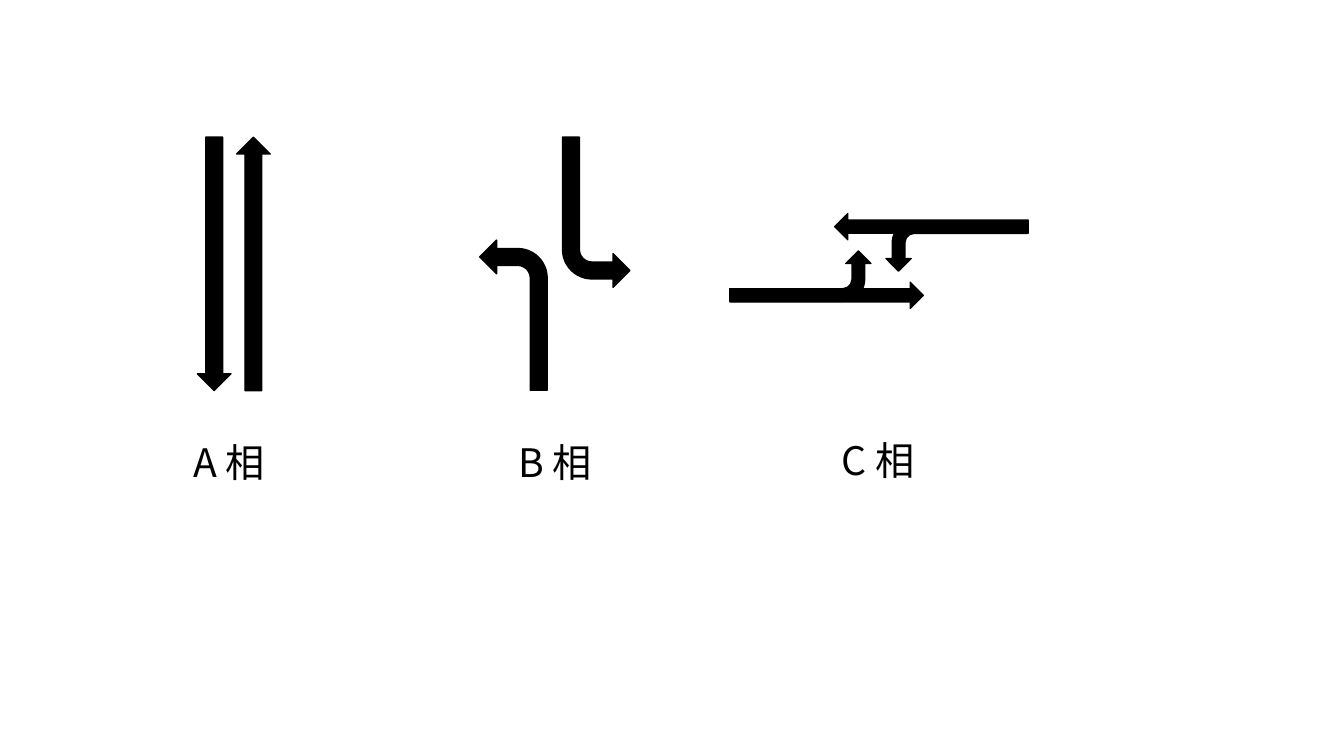
from pptx import Presentation
from pptx.dml.color import RGBColor
from pptx.enum.shapes import MSO_SHAPE
from pptx.enum.text import MSO_AUTO_SIZE
from pptx.oxml.ns import qn
from pptx.util import Pt

UP, LEFT, BENT = MSO_SHAPE.UP_ARROW, MSO_SHAPE.LEFT_ARROW, MSO_SHAPE.BENT_ARROW
FIT_TEXT = MSO_AUTO_SIZE.SHAPE_TO_FIT_TEXT
COLORS = {"ink": "000000", "background": "FFFFFF"}
FONT = "Noto Sans CJK SC"


class PhaseSlide:
    """Draw traffic phase arrows and labels in one style on a slide."""

    def __init__(self, slide):
        self.slide = slide
        self.ink = RGBColor.from_string(COLORS["ink"])
        fill = slide.background.fill
        fill.solid()
        fill.fore_color.rgb = RGBColor.from_string(COLORS["background"])

    def arrow(self, kind, left, top, width, height, rotation=0, flip=None):
        shape = self.slide.shapes.add_shape(kind, Pt(left), Pt(top), Pt(width), Pt(height))
        shape.shadow.inherit = False
        shape.fill.solid()
        shape.fill.fore_color.rgb = self.ink
        shape.line.color.rgb = self.ink
        shape.line.width = Pt(1)
        shape.rotation = rotation
        if flip:
            shape._element.spPr.find(qn("a:xfrm")).set(flip, "1")

    def label(self, text, left, top, width=78, height=41, size=28):
        box = self.slide.shapes.add_textbox(Pt(left), Pt(top), Pt(width), Pt(height))
        frame = box.text_frame
        frame.word_wrap = True
        frame.auto_size = FIT_TEXT
        run = frame.paragraphs[0].add_run()
        run.text = text
        run.font.size = Pt(size)
        run.font.name = FONT
        run.font.color.rgb = self.ink
        east_asian = run._r.get_or_add_rPr().makeelement(qn("a:ea"), {"typeface": FONT})
        run._r.rPr.find(qn("a:latin")).addnext(east_asian)


presentation = Presentation()
presentation.slide_width, presentation.slide_height = Pt(960), Pt(540)
phases = PhaseSlide(presentation.slides.add_slide(presentation.slide_layouts[6]))

for left, flip in ((169, None), (141, "flipV")):
    phases.arrow(UP, left, 98, 24, 181, flip=flip)

for left, top, flip in ((342.7, 171.5, "flipH"), (401.8, 98, "flipV")):
    phases.arrow(BENT, left, top, 48.2, 107.3, flip=flip)

for left, top, turn, bent_left, bent_top in (
    (596.2, 152.6, 0, 665.3, 125.3),
    (521.3, 201.6, 180, 553.7, 146.9),
):
    phases.arrow(LEFT, left, top, 138.2, 18.7, rotation=turn, flip="flipV")
    phases.arrow(BENT, bent_left, bent_top, 36, 100.8, rotation=90 + turn, flip="flipV")

for text, left, top in (("A 相", 131, 309.6), ("B 相", 363, 309.6), ("C 相", 594, 308.2)):
    phases.label(text, left, top)

presentation.save("out.pptx")
